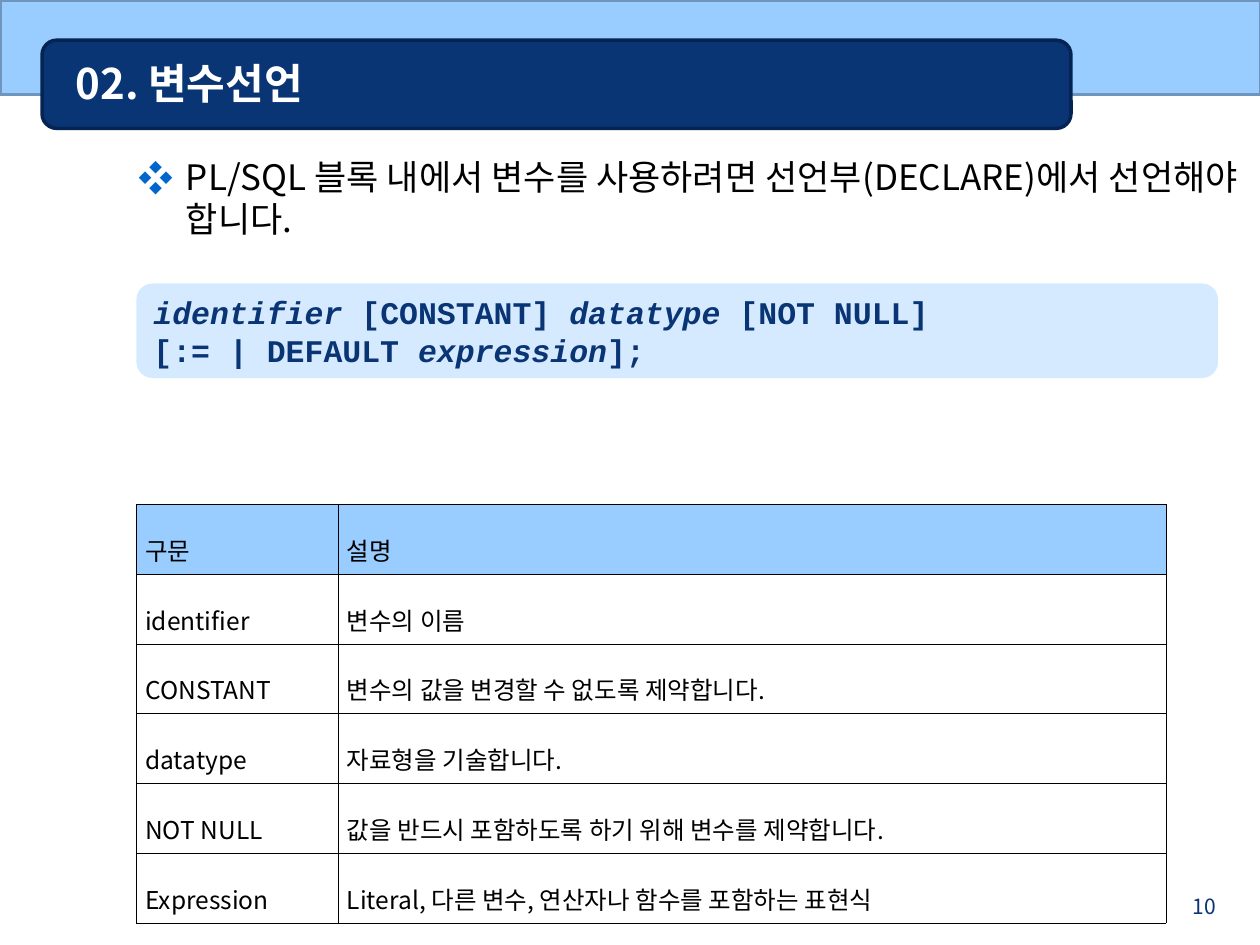
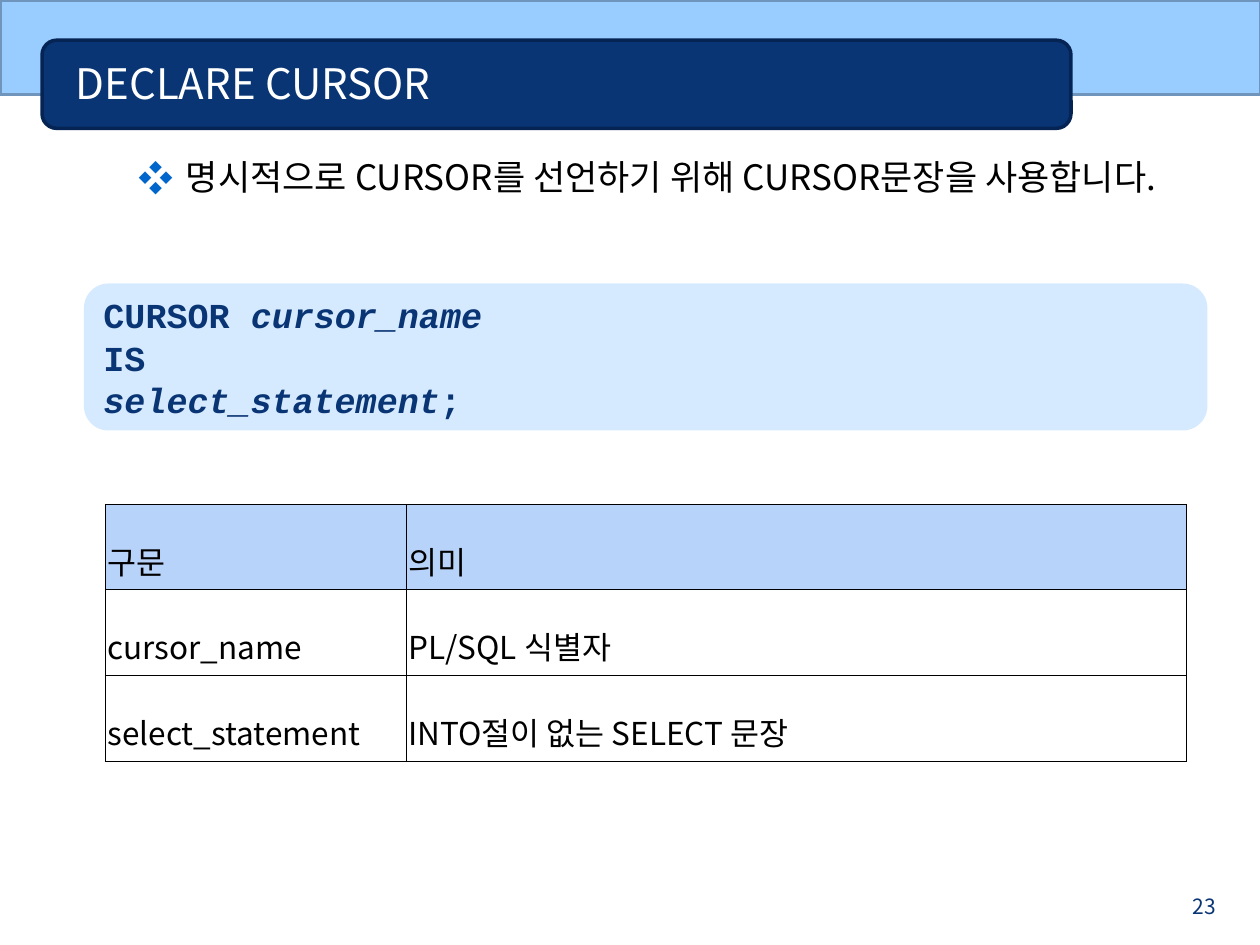
"""Build two PL/SQL syntax slides: variable declaration and cursor declaration."""
from dataclasses import dataclass

from lxml.etree import SubElement
from pptx import Presentation
from pptx.dml.color import RGBColor
from pptx.enum.shapes import MSO_SHAPE
from pptx.enum.text import MSO_ANCHOR, MSO_AUTO_SIZE, PP_ALIGN
from pptx.oxml.ns import qn
from pptx.util import Pt


@dataclass(frozen=True)
class Theme:
    """Colours, fonts and type sizes."""
    sky: str = "99CCFF"
    sky_edge: str = "6F95BC"
    navy: str = "093575"
    navy_edge: str = "052454"
    bullet: str = "0066CC"
    white: str = "FFFFFF"
    black: str = "000000"
    sans: str = "Noto Sans CJK KR"
    mono: str = "Courier New"
    title_size: float = 24
    body_size: float = 20
    number_size: float = 12


@dataclass(frozen=True)
class Box:
    """A rectangle in points."""
    left: float
    top: float
    width: float
    height: float

    def lengths(self) -> tuple:
        """Return the four lengths for a shape call."""
        return Pt(self.left), Pt(self.top), Pt(self.width), Pt(self.height)


@dataclass(frozen=True)
class Syntax:
    """A syntax box, with italic words between asterisks."""
    box: Box
    size: float
    lines: tuple


@dataclass(frozen=True)
class Glossary:
    """A two-column table of terms with a header row."""
    left: float
    widths: tuple
    row_height: float
    size: float
    margin: float
    header: str
    rows: tuple


@dataclass(frozen=True)
class Page:
    """The content of one slide."""
    number: int
    title: str
    title_bold: bool
    point: str
    syntax: Syntax
    glossary: Glossary


THEME = Theme()
BAND = Box(0, 0, 720.5, 54)
TITLE_BAR = Box(24, 23, 588, 50.4)
TITLE = Box(36, 25, 570, 45)
BODY = Box(72, 85, 648, 442)
NUMBER = Box(666, 507, 36, 15)
TABLE_TOP = 288
BULLET_INDENT = 27

PAGES = (
    Page(
        10, "02. 변수선언", True,
        "PL/SQL 블록 내에서 변수를 사용하려면 선언부(DECLARE)에서 선언해야 합니다.",
        Syntax(Box(78, 162, 618, 54), 18, (
            "*identifier *[CONSTANT] *datatype *[NOT NULL]",
            "[:= | DEFAULT *expression*];",
        )),
        Glossary(78, (115.2, 473), 29.7, 14, 5, "99CCFF", (
            ("구문", "설명"),
            ("identifier", "변수의 이름"),
            ("CONSTANT", "변수의 값을 변경할 수 없도록 제약합니다."),
            ("datatype", "자료형을 기술합니다."),
            ("NOT NULL", "값을 반드시 포함하도록 하기 위해 변수를 제약합니다."),
            ("Expression", "Literal, 다른 변수, 연산자나 함수를 포함하는 표현식"),
        )),
    ),
    Page(
        23, "DECLARE CURSOR", False,
        "명시적으로 CURSOR를 선언하기 위해 CURSOR문장을 사용합니다.",
        Syntax(Box(48, 162, 642, 84), 20, (
            "CURSOR *cursor_name*",
            "IS",
            "*select_statement*;",
        )),
        Glossary(60, (172, 446), 37.4, 18, 1.4, "B8D3FA", (
            ("구문", "의미"),
            ("cursor_name", "PL/SQL 식별자"),
            ("select_statement", "INTO절이 없는 SELECT 문장"),
        )),
    ),
)


def rgb(color: str) -> RGBColor:
    """Turn a hex string into a colour."""
    return RGBColor.from_string(color)


def write(tf, *lines: str, size: float, color: str = THEME.black,
          font: str = THEME.sans, bold: bool = False,
          align=PP_ALIGN.LEFT, spacing: float = None):
    """Write lines into a text frame, setting words between asterisks in italics."""
    for i, line in enumerate(lines):
        p = tf.add_paragraph() if i else tf.paragraphs[0]
        p.alignment = align
        p.line_spacing = spacing
        for j, part in enumerate(line.split("*")):
            if not part:
                continue
            r = p.add_run()
            r.text = part
            r.font.size = Pt(size)
            r.font.name = font
            r.font.bold = bold
            r.font.italic = j % 2 == 1
            r.font.color.rgb = rgb(color)
            SubElement(r.font._element, qn("a:ea"), typeface=font)


def add_panel(s, preset, box: Box, fill: str, line: str = None):
    """Add a flat filled shape with an optional outline."""
    sp = s.shapes.add_shape(preset, *box.lengths())
    sp.shadow.inherit = False
    sp.fill.solid()
    sp.fill.fore_color.rgb = rgb(fill)
    if line:
        sp.line.color.rgb = rgb(line)
        sp.line.width = Pt(2)
    else:
        sp.line.fill.background()
    return sp


def place(sp, box: Box):
    """Move a shape to a box."""
    sp.left, sp.top, sp.width, sp.height = box.lengths()


def style_layout(layout, s):
    """Give the layout its bands and placeholder positions, drawing through a slide."""
    title, body = layout.placeholders[0], layout.placeholders[1]
    place(title, TITLE)
    place(body, BODY)
    bands = (
        add_panel(s, MSO_SHAPE.RECTANGLE, BAND, THEME.sky, THEME.sky_edge),
        add_panel(s, MSO_SHAPE.ROUNDED_RECTANGLE, TITLE_BAR, THEME.navy, THEME.navy_edge),
    )
    for i, sp in enumerate(bands):
        sp.element.nvSpPr.cNvPr.set("id", str(100 + i))
        title.element.addprevious(sp.element)


def add_bullet(p):
    """Give a paragraph the diamond bullet with a hanging indent."""
    p.space_before = Pt(24)
    pPr = p._p.get_or_add_pPr()
    pPr.set("marL", str(Pt(BULLET_INDENT)))
    pPr.set("indent", str(-Pt(BULLET_INDENT)))
    color = SubElement(pPr, qn("a:buClr"))
    SubElement(color, qn("a:srgbClr"), val=THEME.bullet)
    SubElement(pPr, qn("a:buFont"), typeface=THEME.sans)
    SubElement(pPr, qn("a:buChar"), char="❖")


def add_syntax(s, syntax: Syntax):
    """Add the translucent syntax box."""
    sp = add_panel(s, MSO_SHAPE.ROUNDED_RECTANGLE, syntax.box, THEME.sky)
    color = sp.element.spPr.find(qn("a:solidFill")).find(qn("a:srgbClr"))
    SubElement(color, qn("a:alpha"), val="40000")
    tf = sp.text_frame
    tf.word_wrap = True
    tf.vertical_anchor = MSO_ANCHOR.MIDDLE
    write(tf, *syntax.lines, size=syntax.size, color=THEME.navy,
          font=THEME.mono, bold=True)


def add_borders(cell):
    """Draw hairlines on all sides of a cell."""
    tcPr = cell._tc.get_or_add_tcPr()
    for i, side in enumerate(("lnL", "lnR", "lnT", "lnB")):
        ln = tcPr.makeelement(qn(f"a:{side}"), {"w": str(Pt(0.11))})
        fill = SubElement(ln, qn("a:solidFill"))
        SubElement(fill, qn("a:srgbClr"), val=THEME.black)
        tcPr.insert(i, ln)


def add_glossary(s, g: Glossary):
    """Add the table of terms."""
    box = Box(g.left, TABLE_TOP, sum(g.widths), g.row_height * len(g.rows))
    table = s.shapes.add_table(len(g.rows), len(g.widths), *box.lengths()).table
    table.first_row = table.horz_banding = False
    for column, width in zip(table.columns, g.widths):
        column.width = Pt(width)
    for i, texts in enumerate(g.rows):
        table.rows[i].height = Pt(g.row_height)
        for j, text in enumerate(texts):
            cell = table.cell(i, j)
            cell.margin_left = cell.margin_right = Pt(g.margin)
            cell.vertical_anchor = MSO_ANCHOR.MIDDLE
            if i:
                cell.fill.background()
            else:
                cell.fill.solid()
                cell.fill.fore_color.rgb = rgb(g.header)
            add_borders(cell)
            write(cell.text_frame, text, size=g.size,
                  align=PP_ALIGN.JUSTIFY, spacing=1.6)


def add_number(s, number: int):
    """Add the page number at the bottom right."""
    tf = s.shapes.add_textbox(*NUMBER.lengths()).text_frame
    tf.word_wrap = True
    write(tf, str(number), size=THEME.number_size, color=THEME.navy,
          align=PP_ALIGN.RIGHT)


def fill_slide(s, page: Page):
    """Put the content of a page on its slide."""
    title = s.shapes.title.text_frame
    title.vertical_anchor = MSO_ANCHOR.MIDDLE
    title.auto_size = MSO_AUTO_SIZE.NONE
    write(title, page.title, size=THEME.title_size, color=THEME.white,
          bold=page.title_bold)
    body = s.placeholders[1].text_frame
    body.auto_size = MSO_AUTO_SIZE.NONE
    write(body, page.point, size=THEME.body_size)
    add_bullet(body.paragraphs[0])
    add_syntax(s, page.syntax)
    add_glossary(s, page.glossary)
    add_number(s, page.number)


def main():
    """Build and save the presentation."""
    prs = Presentation()
    prs.slide_width, prs.slide_height = Pt(720), Pt(540)
    layout = prs.slide_layouts[1]
    slides = [prs.slides.add_slide(layout) for _ in PAGES]
    style_layout(layout, slides[0])
    for s, page in zip(slides, PAGES):
        fill_slide(s, page)
    prs.save("out.pptx")


if __name__ == "__main__":
    main()
